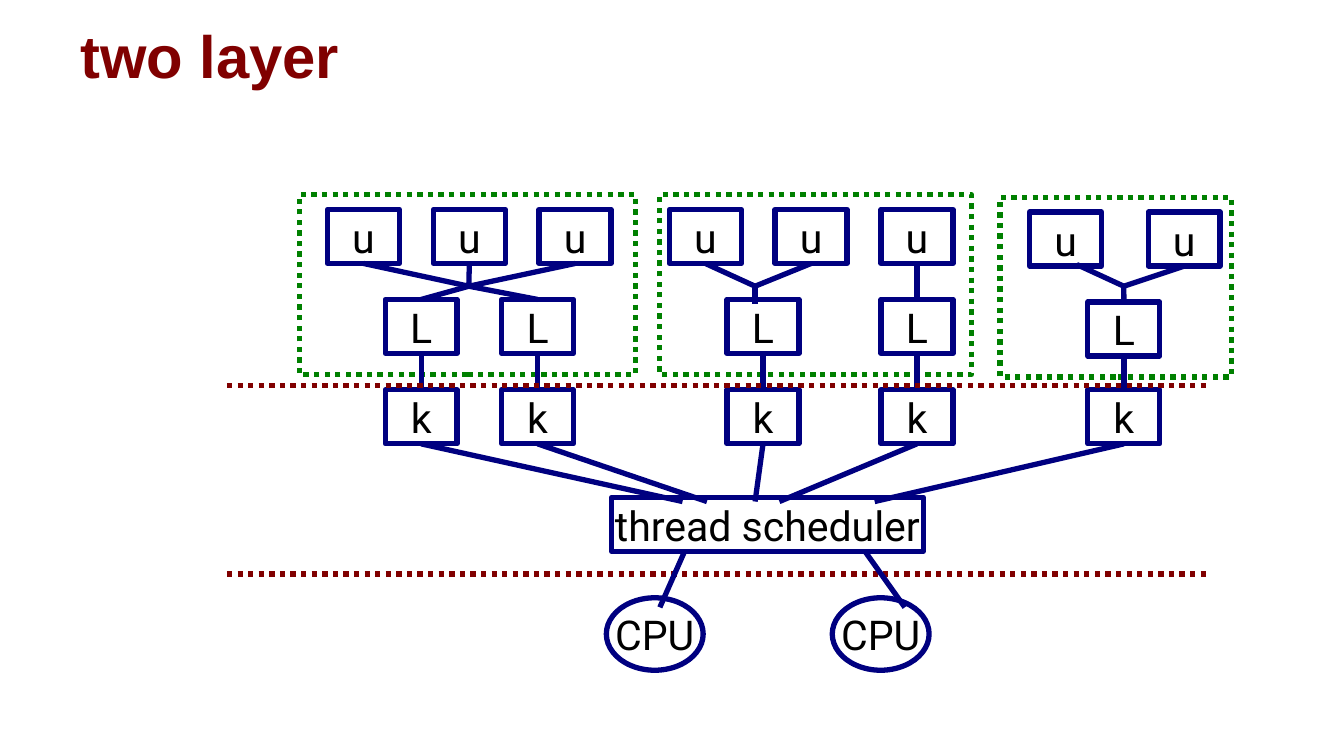
from lxml.etree import SubElement
from pptx import Presentation
from pptx.dml.color import RGBColor
from pptx.enum.dml import MSO_LINE
from pptx.enum.shapes import MSO_CONNECTOR, MSO_SHAPE
from pptx.enum.text import MSO_ANCHOR, PP_ALIGN
from pptx.oxml.ns import qn
from pptx.util import Cm, Pt

NAVY = RGBColor(0x00, 0x00, 0x80)
GREEN = RGBColor(0x00, 0x80, 0x00)
MAROON = RGBColor(0x80, 0x00, 0x00)
BLACK = RGBColor(0x00, 0x00, 0x00)

TOP, BOTTOM = 0, 2
NODE_WIDTH, NODE_HEIGHT = 1.36, 1.02
THREAD_TOP, WORKER_TOP = 0.28, 1.98

PROCESSES = [
    {
        "box": (5.66, 3.68, 6.35, 3.4),
        "threads": [0.53, 2.53, 4.53],
        "workers": [1.62, 3.82],
        "wires": [
            (("u", 0), (3.2, 1.73)),
            (("u", 2), (3.2, 1.73)),
            (("u", 1), (3.2, 1.73)),
            ((3.2, 1.73), ("L", 1)),
            ((3.2, 1.73), ("L", 0)),
        ],
    },
    {
        "box": (12.47, 3.68, 5.89, 3.4),
        "threads": [0.18, 2.18, 4.18],
        "workers": [1.27, 4.18],
        "wires": [
            (("u", 0), (1.8, 1.73)),
            (("u", 1), (1.8, 1.73)),
            ((1.8, 1.73), (1.8, 2.06)),
            (("u", 2), ("L", 1)),
        ],
    },
    {
        "box": (18.9, 3.73, 4.37, 3.4),
        "threads": [0.56, 2.8],
        "workers": [1.66],
        "wires": [
            ((1.45, 1.27), (2.34, 1.68)),
            (("u", 1), (2.34, 1.68)),
            ((2.34, 1.68), ("L", 0)),
        ],
    },
]


def style_line(line, color, dash=None):
    line.color.rgb = color
    line.width = Pt(2.83)
    if dash:
        line.dash_style = dash


def add_outline(slide, kind, box, color, dash=None):
    shape = slide.shapes.add_shape(kind, *[Cm(value) for value in box])
    shape.shadow.inherit = False
    shape.fill.background()
    style_line(shape.line, color, dash)
    return shape


def add_node(slide, text, box, kind=MSO_SHAPE.RECTANGLE):
    shape = add_outline(slide, kind, box, NAVY)
    frame = shape.text_frame
    frame.text = text
    frame.word_wrap = False
    frame.vertical_anchor = MSO_ANCHOR.MIDDLE
    frame.margin_left = frame.margin_right = Cm(0.28)
    frame.margin_top = frame.margin_bottom = Cm(0.15)
    paragraph = frame.paragraphs[0]
    paragraph.alignment = PP_ALIGN.CENTER
    paragraph.line_spacing = 1.02
    font = paragraph.runs[0].font
    font.name = "Roboto"
    font.size = Pt(22)
    font.color.rgb = BLACK
    return shape


def add_wire(slide, start, end, color=NAVY, dash=None):
    points = [item if isinstance(item, tuple) else (0, 0) for item in (start, end)]
    wire = slide.shapes.add_connector(
        MSO_CONNECTOR.STRAIGHT, *[Cm(value) for point in points for value in point]
    )
    if not isinstance(start, tuple):
        wire.begin_connect(start, BOTTOM)
    if not isinstance(end, tuple):
        wire.end_connect(end, TOP)
    style_line(wire.line, color, dash)
    SubElement(wire._element.spPr, qn("a:effectLst"))


def add_title(slide, box, text):
    frame = slide.shapes.add_textbox(*[Cm(value) for value in box]).text_frame
    frame.text = text
    frame.word_wrap = True
    frame.vertical_anchor = MSO_ANCHOR.BOTTOM
    font = frame.paragraphs[0].runs[0].font
    font.name = "Arial"
    font.size = Pt(32)
    font.bold = True
    font.color.rgb = MAROON


def add_process(slide, box, threads, workers, wires):
    left, top, width, height = box

    def add_row(text, offsets, row_top):
        return [
            add_node(slide, text, (left + x, top + row_top, NODE_WIDTH, NODE_HEIGHT))
            for x in offsets
        ]

    nodes = {
        "u": add_row("u", threads, THREAD_TOP),
        "L": add_row("L", workers, WORKER_TOP),
    }

    def locate(end):
        first, second = end
        if first in nodes:
            return nodes[first][second]
        return left + first, top + second

    for start, end in wires:
        add_wire(slide, locate(start), locate(end))
    add_outline(slide, MSO_SHAPE.RECTANGLE, box, GREEN, MSO_LINE.ROUND_DOT)
    return nodes["L"]


def add_kernel(slide, box, workers):
    left, top, width, height = box
    scheduler_top = top + 2.03
    add_node(slide, "thread scheduler", (left + 7.27, scheduler_top, 5.89, NODE_HEIGHT))
    for worker, entry in zip(workers, [8.61, 9.07, 9.98, 10.44, 12.24]):
        kernel_thread = add_node(
            slide, "k", (worker.left.cm, top, NODE_WIDTH, NODE_HEIGHT)
        )
        add_wire(slide, worker, kernel_thread)
        add_wire(slide, kernel_thread, (left + entry, scheduler_top + 0.08))
    for border in (top - 0.08, top + height):
        add_wire(
            slide, (left, border), (left + width, border), MAROON, MSO_LINE.ROUND_DOT
        )


def add_processors(slide, box, wires):
    left, top, width, height = box
    size = 1.83
    for x, (start, end) in zip((left, left + width - size), wires):
        add_node(slide, "CPU", (x, top, size, height), MSO_SHAPE.OVAL)
        add_wire(slide, (left + start, top - 0.86), (left + end, top + 0.18))


def main():
    presentation = Presentation()
    presentation.slide_width = Cm(25.4)
    presentation.slide_height = Cm(14.29)
    slide = presentation.slides.add_slide(presentation.slide_layouts[6])
    add_title(slide, (1.27, 0.38, 22.86, 1.45), "two layer")
    workers = []
    for process in PROCESSES:
        workers += add_process(slide, **process)
    add_kernel(slide, (4.29, 7.37, 18.59, 3.48), workers)
    add_processors(slide, (11.46, 11.3, 6.1, 1.37), [(1.47, 1.01), (4.9, 5.64)])
    presentation.save("out.pptx")


if __name__ == "__main__":
    main()
